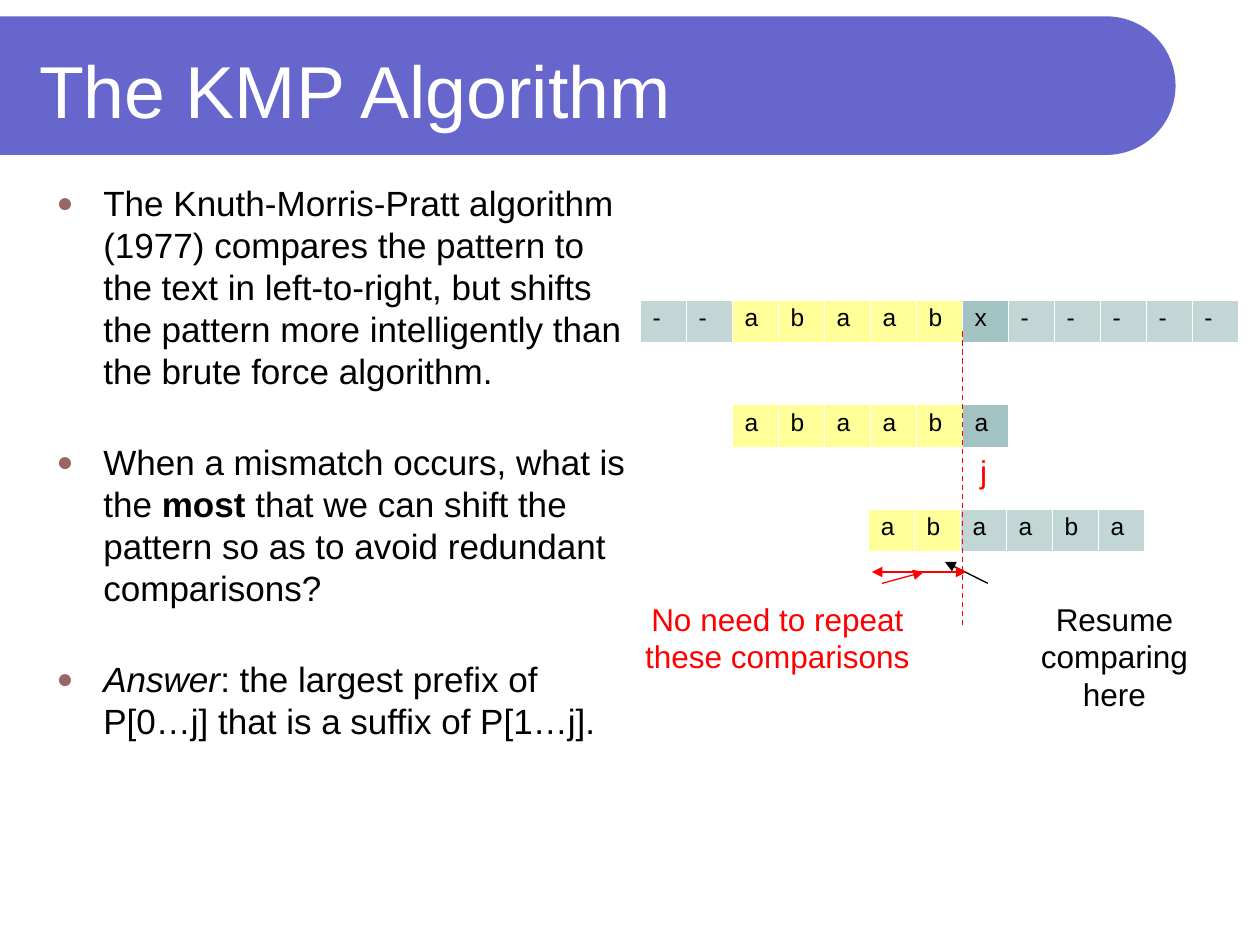
from dataclasses import dataclass

from lxml.etree import SubElement
from pptx import Presentation
from pptx.dml.color import RGBColor as RGB
from pptx.enum.dml import MSO_LINE
from pptx.enum.shapes import MSO_CONNECTOR, MSO_SHAPE
from pptx.enum.text import MSO_ANCHOR, MSO_AUTO_SIZE, PP_ALIGN
from pptx.oxml.ns import qn
from pptx.util import Inches, Pt


@dataclass(frozen=True)
class Theme:
    font: str = "Arial"
    banner: str = "6666CC"
    bullet: str = "996666"
    white: str = "FFFFFF"
    black: str = "000000"
    red: str = "FF0000"
    match: str = "FFFF99"
    mismatch: str = "A3C2C2"
    plain: str = "C2D6D6"
    title_size: int = 42
    body_size: int = 20
    label_size: int = 18
    cell_size: int = 14


THEME = Theme()
CELL_W, CELL_H = 0.365, 0.34
FILLS = {"m": THEME.match, "x": THEME.mismatch, ".": THEME.plain}

BULLETS = [
    [("The Knuth-Morris-Pratt algorithm (1977) compares the pattern to the text "
      "in left-to-right, but shifts the pattern more intelligently than the "
      "brute force algorithm.", "")],
    [("When a mismatch occurs, what is the ", ""), ("most", "bold"),
     (" that we can shift the pattern so as to avoid redundant comparisons?", "")],
    [("Answer", "italic"),
     (": the largest prefix of P[0…j] that is a suffix of P[1…j].", "")],
]

# left, top, letters, fill key of each cell
STRIPS = [
    (5.08, 2.38, "--abaabx-----", "..mmmmmx....."),
    (5.81, 3.21, "abaaba", "mmmmmx"),
    (6.89, 4.04, "abaaba", "mm...."),
]


def place(shape, left, top, width, height):
    shape.left, shape.top = Inches(left), Inches(top)
    shape.width, shape.height = Inches(width), Inches(height)


def add_run(p, text, size, color=THEME.black, bold=False, italic=False):
    r = p.add_run()
    r.text = text
    r.font.name, r.font.size = THEME.font, Pt(size)
    r.font.bold, r.font.italic = bold, italic
    r.font.color.rgb = RGB.from_string(color)


def add_banner(s):
    """Bar with a round right end, behind the title."""
    left, top, width, height = 0, 0.13, 9.33, 1.1
    bar = s.shapes.add_shape(MSO_SHAPE.ROUND_2_SAME_RECTANGLE, 0, 0, 0, 0)
    place(bar, left + (width - height) / 2, top - (width - height) / 2, height, width)
    bar.rotation = 90
    bar.adjustments[0] = 0.5
    bar.shadow.inherit = False
    bar.fill.solid()
    bar.fill.fore_color.rgb = RGB.from_string(THEME.banner)
    bar.line.fill.background()
    s.shapes._spTree.insert(2, bar._element)


def fill_title(title, text):
    place(title, 0.21, 0.21, 8.77, 1)
    tf = title.text_frame
    tf.auto_size = MSO_AUTO_SIZE.NONE
    tf.vertical_anchor = MSO_ANCHOR.MIDDLE
    p = tf.paragraphs[0]
    p.alignment = PP_ALIGN.LEFT
    add_run(p, text, THEME.title_size, THEME.white)


def set_bullet(p):
    pPr = p._p.get_or_add_pPr()
    pPr.set("marL", str(Inches(0.37)))
    pPr.set("indent", str(Inches(-0.37)))
    color = SubElement(pPr, qn("a:buClr"))
    SubElement(color, qn("a:srgbClr"), val=THEME.bullet)
    SubElement(pPr, qn("a:buSzPct"), val="80000")
    SubElement(pPr, qn("a:buChar"), char="●")


def fill_body(body, bullets):
    place(body, 0.35, 1.39, 4.73, 5.75)
    tf = body.text_frame
    tf.auto_size = MSO_AUTO_SIZE.NONE
    for i, runs in enumerate(bullets):
        p = tf.add_paragraph() if i else tf.paragraphs[0]
        set_bullet(p)
        p.space_before = Pt(28 if i else 0)
        for text, style in runs:
            add_run(p, text, THEME.body_size,
                    bold=style == "bold", italic=style == "italic")


def set_borders(cell):
    tcPr = cell._tc.get_or_add_tcPr()
    for i, (side, width) in enumerate(
            [("lnL", 0.23), ("lnR", 0.23), ("lnT", 0.23), ("lnB", 0.75)]):
        ln = tcPr.makeelement(qn(f"a:{side}"), {"w": str(Pt(width))})
        tcPr.insert(i, ln)
        SubElement(SubElement(ln, qn("a:solidFill")), qn("a:srgbClr"), val=THEME.white)


def add_strip(s, left, top, letters, keys):
    """One-row table with a letter in each cell."""
    n = len(letters)
    table = s.shapes.add_table(1, n, Inches(left), Inches(top),
                               Inches(n * CELL_W), Inches(CELL_H)).table
    table.first_row = table.horz_banding = False
    for col, cell, letter, key in zip(table.columns, table.iter_cells(), letters, keys):
        col.width = Inches(CELL_W)
        cell.fill.solid()
        cell.fill.fore_color.rgb = RGB.from_string(FILLS[key])
        set_borders(cell)
        p = cell.text_frame.paragraphs[0]
        p.line_spacing = 0.93
        add_run(p, letter, THEME.cell_size)


def add_label(s, left, top, width, height, lines, color):
    box = s.shapes.add_textbox(*map(Inches, (left, top, width, height)))
    tf = box.text_frame
    tf.word_wrap = False
    for i, line in enumerate(lines):
        p = tf.add_paragraph() if i else tf.paragraphs[0]
        p.alignment = PP_ALIGN.CENTER
        add_run(p, line, THEME.label_size, color)


def add_line(s, start, end, color, dash=None, head=False, tail=False):
    c = s.shapes.add_connector(MSO_CONNECTOR.STRAIGHT, *map(Inches, start + end))
    c.line.width = Pt(0.75)
    c.line.color.rgb = RGB.from_string(color)
    if dash:
        c.line.dash_style = dash
    for tag, wanted in (("a:headEnd", head), ("a:tailEnd", tail)):
        if wanted:
            SubElement(c.line._get_or_add_ln(), qn(tag), type="triangle")
    SubElement(c._element.spPr, qn("a:effectLst"))


def main():
    prs = Presentation()
    prs.slide_width, prs.slide_height = Inches(10), Inches(7.5)
    s = prs.slides.add_slide(prs.slide_layouts[1])

    add_banner(s)
    fill_title(s.shapes.title, "The KMP Algorithm")
    fill_body(s.placeholders[1], BULLETS)
    for strip in STRIPS:
        add_strip(s, *strip)

    add_line(s, (7.64, 2.63), (7.64, 4.96), THEME.red, dash=MSO_LINE.DASH)
    add_label(s, 7.68, 3.54, 0.25, 0.4, ["j"], THEME.red)
    add_label(s, 5.02, 4.71, 2.3, 0.7,
              ["No need to repeat", "these comparisons"], THEME.red)
    add_label(s, 7.88, 4.71, 1.93, 0.7, ["Resume", "comparing here"], THEME.black)
    add_line(s, (7.84, 4.63), (7.5, 4.46), THEME.black, tail=True)
    add_line(s, (7, 4.63), (7.33, 4.54), THEME.red, tail=True)
    add_line(s, (6.92, 4.54), (7.67, 4.54), THEME.red, head=True, tail=True)

    prs.save("out.pptx")


if __name__ == "__main__":
    main()
